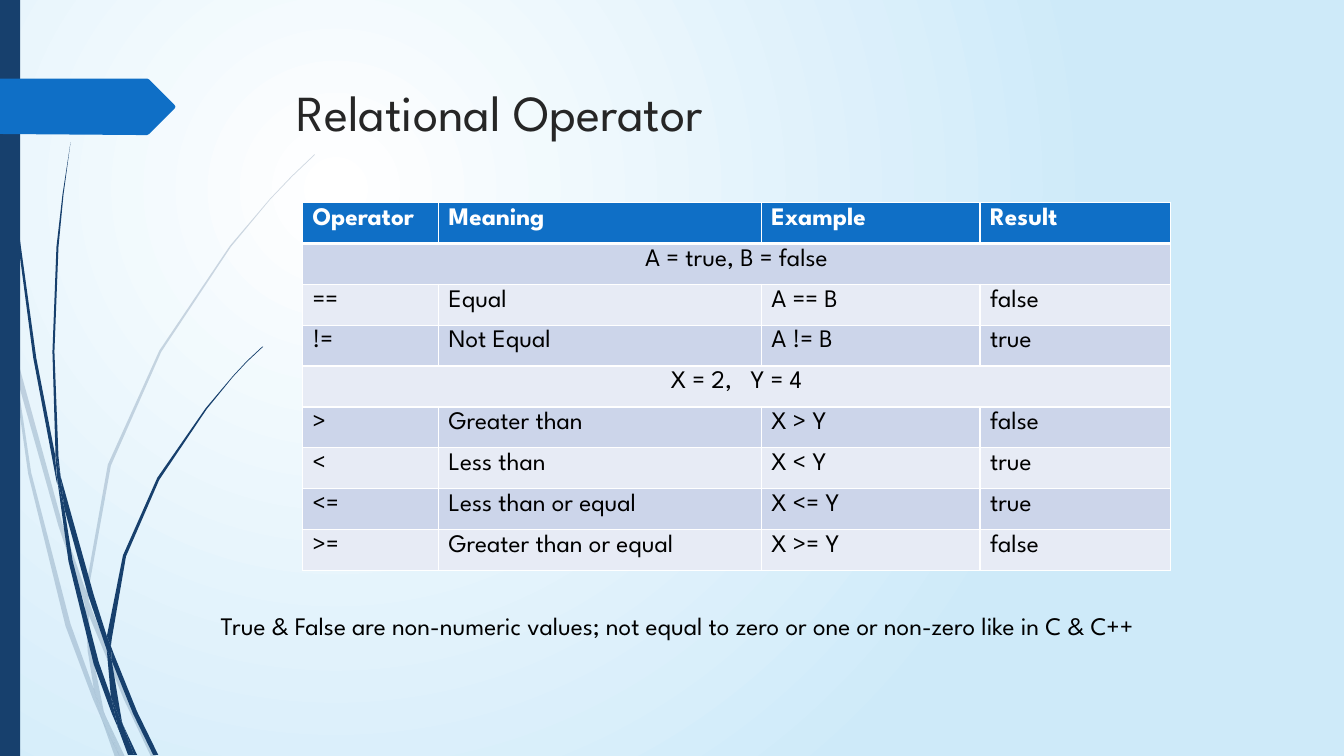
"""Build a slide that lists the relational operators in a table."""
from typing import NamedTuple

from lxml import etree
from pptx import Presentation
from pptx.dml.color import RGBColor
from pptx.enum.shapes import MSO_SHAPE
from pptx.enum.text import MSO_ANCHOR, PP_ALIGN
from pptx.oxml.ns import qn
from pptx.util import Pt

RECTANGLE = MSO_SHAPE.RECTANGLE
MIDDLE = MSO_ANCHOR.MIDDLE
LEFT = PP_ALIGN.LEFT
CENTER = PP_ALIGN.CENTER

EMU_PER_PX = 9144
FONT = "League Spartan"
NAVY, BLUE, WHITE, BLACK = "17406D", "0F6FC6", "FFFFFF", "000000"
TITLE_GREY, SKY = "262626", "CEEAF9"
BANDS = ("CCD5EA", "E7EBF5")


class Plant(NamedTuple):
    """A bundle of grass stems: its opacity and the outlines of its pieces."""

    opacity: int
    pieces: list[list[tuple[int, int]]]


class TextStyle(NamedTuple):
    """The look of one run of text."""

    size: int
    color: str = BLACK
    bold: bool = False


PALE_PLANT = Plant(20, [
    [(11, 350), (9, 322), (0, 282), (0, 299), (10, 344)],
    [(58, 522), (84, 599), (85, 586), (62, 520), (14, 345), (17, 376)],
    [(92, 607), (88, 596), (88, 610), (123, 694), (150, 751), (155, 751), (127, 692)],
    [(119, 751), (124, 751), (105, 711)],
    [(93, 683), (70, 619), (31, 469), (17, 376), (11, 350), (28, 470), (65, 621),
     (92, 693), (101, 714), (99, 707)],
    [(84, 599), (87, 646), (93, 683), (96, 692), (105, 711), (103, 706), (91, 646),
     (88, 610), (88, 608)],
    [(88, 584), (110, 462), (160, 349), (229, 245), (268, 198), (290, 175), (312, 154),
     (312, 153), (289, 175), (268, 197), (228, 244), (158, 348), (107, 461), (85, 584),
     (85, 586), (88, 596)],
    [(101, 714), (114, 751), (119, 751)],
    [(88, 608), (88, 610), (88, 596), (85, 586), (84, 599)],
    [(96, 692), (93, 683), (99, 707), (101, 714), (119, 751), (105, 711)],
])
DARK_PLANT = Plant(100, [
    [(7, 110), (17, 233), (33, 355), (56, 477), (57, 481), (55, 457), (55, 453),
     (36, 355), (19, 232), (8, 109), (5, 48), (4, 0), (3, 0), (4, 48)],
    [(88, 592), (106, 645), (106, 631), (93, 590), (60, 472), (64, 505)],
    [(113, 649), (110, 641), (111, 656), (132, 708), (152, 749), (157, 749), (136, 706)],
    [(110, 691), (98, 657), (72, 556), (64, 505), (57, 477), (68, 557), (93, 659),
     (111, 708), (117, 722), (116, 717)],
    [(60, 472), (58, 453), (54, 349), (58, 245), (63, 193), (70, 141), (62, 193),
     (56, 245), (52, 349), (55, 449)],
    [(133, 749), (136, 749), (122, 719)],
    [(57, 477), (64, 505), (60, 472), (55, 449), (55, 453)],
    [(111, 633), (125, 552), (158, 476), (205, 406), (231, 374), (245, 359), (261, 344),
     (260, 344), (245, 358), (231, 373), (204, 405), (156, 474), (122, 551), (106, 631),
     (110, 641)],
    [(117, 722), (127, 749), (131, 749)],
    [(106, 645), (110, 691), (116, 706), (122, 719), (121, 716), (111, 656), (109, 651)],
    [(106, 645), (109, 651), (111, 656), (110, 641), (106, 631)],
    [(116, 706), (110, 691), (116, 717), (117, 722), (130, 749), (133, 749), (122, 719)],
])
ARROW_TAG = [(173, 108), (148, 133), (146, 134), (136, 134), (0, 133), (0, 78),
             (146, 78), (148, 79), (173, 104), (174, 106)]

COLUMN_WIDTHS = (135, 320, 217, 189)
TABLE_ROWS = [
    ("Operator", "Meaning", "Example", "Result"),
    ("A = true, B = false",),
    ("==", "Equal", "A == B", "false"),
    ("!=", "Not Equal", "A != B", "true"),
    ("X = 2,   Y = 4",),
    (">", "Greater than", "X > Y", "false"),
    ("<", "Less than", "X < Y", "true"),
    ("<=", "Less than or equal", "X <= Y", "true"),
    (">=", "Greater than or equal", "X >= Y", "false"),
]
HEADER_STYLE = TextStyle(18, WHITE, True)
BODY_STYLE = TextStyle(18)


def px(*lengths: int) -> list[int]:
    """Turn lengths in px into EMU."""
    return [length * EMU_PER_PX for length in lengths]


def paint(fill, color: str, opacity: int = 100) -> None:
    """Give a fill one solid colour, see-through below 100 percent."""
    fill.solid()
    fill.fore_color.rgb = RGBColor.from_string(color)
    if opacity < 100:
        for element in fill._xPr.iter(qn("a:srgbClr")):
            etree.SubElement(element, qn("a:alpha"), val=str(opacity * 1000))


def finish(shape, color: str, opacity: int = 100) -> None:
    """Fill a shape and take away its line and shadow."""
    paint(shape.fill, color, opacity)
    shape.line.fill.background()
    shape.shadow.inherit = False


def add_outline(slide, points: list[tuple[int, int]], color: str, opacity: int = 100) -> None:
    """Draw a closed outline through the points."""
    builder = slide.shapes.build_freeform(*points[0], scale=EMU_PER_PX)
    builder.add_line_segments(points[1:], close=True)
    finish(builder.convert_to_shape(), color, opacity)


def write(text_frame, text: str, style: TextStyle, alignment=LEFT) -> None:
    """Write one run into the first paragraph of a text frame."""
    paragraph = text_frame.paragraphs[0]
    paragraph.alignment = alignment
    run = paragraph.add_run()
    run.text = text
    run.font.name = FONT
    run.font.size = Pt(style.size)
    run.font.bold = style.bold
    paint(run.font.fill, style.color)


def set_borders(cell, top: int, bottom: int) -> None:
    """Put white borders round a cell, one point wide at the sides."""
    properties = cell._tc.get_or_add_tcPr()
    widths = {"a:lnL": 1, "a:lnR": 1, "a:lnT": top, "a:lnB": bottom}
    for index, (tag, width) in enumerate(widths.items()):
        line = etree.Element(qn(tag), w=str(Pt(width)))
        solid = etree.SubElement(line, qn("a:solidFill"))
        etree.SubElement(solid, qn("a:srgbClr"), val=WHITE)
        properties.insert(index, line)


def add_background(slide) -> None:
    """Lay a round gradient that is brightest at the upper left."""
    fill = slide.background.fill
    fill.gradient()
    for stop, color in zip(fill.gradient_stops, (WHITE, SKY)):
        stop.color.rgb = RGBColor.from_string(color)
    gradient = next(slide.element.iter(qn("a:gradFill")))
    gradient.remove(gradient.find(qn("a:lin")))
    circle = etree.SubElement(gradient, qn("a:path"), path="circle")
    etree.SubElement(circle, qn("a:fillToRect"), l="50000", t="50000", r="100000", b="100000")


def add_operator_table(slide) -> None:
    """Draw the operator table; a row with one text spans all columns."""
    frame = slide.shapes.add_table(
        len(TABLE_ROWS), len(COLUMN_WIDTHS), *px(300, 201, sum(COLUMN_WIDTHS), 365))
    table = frame.table
    for column, width in zip(table.columns, px(*COLUMN_WIDTHS)):
        column.width = width
    last = len(COLUMN_WIDTHS) - 1
    for row, texts in enumerate(TABLE_ROWS):
        is_header, is_span = row == 0, len(texts) == 1
        for column in range(last + 1):
            cell = table.cell(row, column)
            paint(cell.fill, BLUE if is_header else BANDS[(row - 1) % 2])
            set_borders(cell, top=3 if row == 1 else 1, bottom=3 if is_header else 1)
        if is_span:
            table.cell(row, 0).merge(table.cell(row, last))
        for column, text in enumerate(texts):
            write(table.cell(row, column).text_frame, text,
                  HEADER_STYLE if is_header else BODY_STYLE, CENTER if is_span else LEFT)


def main() -> None:
    """Build and save the presentation."""
    presentation = Presentation()
    presentation.slide_width, presentation.slide_height = px(1333, 750)
    slide = presentation.slides.add_slide(presentation.slide_layouts[5])
    add_background(slide)
    for plant in (PALE_PLANT, DARK_PLANT):
        for piece in plant.pieces:
            add_outline(slide, piece, NAVY, plant.opacity)
    finish(slide.shapes.add_shape(RECTANGLE, *px(0, 0, 20, 750)), NAVY)
    add_outline(slide, ARROW_TAG, BLUE)
    title = slide.shapes.title
    title.left, title.top, title.width, title.height = px(284, 68, 975, 85)
    title.text_frame.vertical_anchor = MIDDLE
    write(title.text_frame, "Relational Operator", TextStyle(36, TITLE_GREY))
    add_operator_table(slide)
    note = slide.shapes.add_textbox(*px(209, 600, 1094, 40)).text_frame
    note.word_wrap = True
    note.vertical_anchor = MIDDLE
    write(note, "True & False are non-numeric values; not equal to zero or one "
                "or non-zero like in C & C++", BODY_STYLE)
    presentation.save("out.pptx")


if __name__ == "__main__":
    main()
